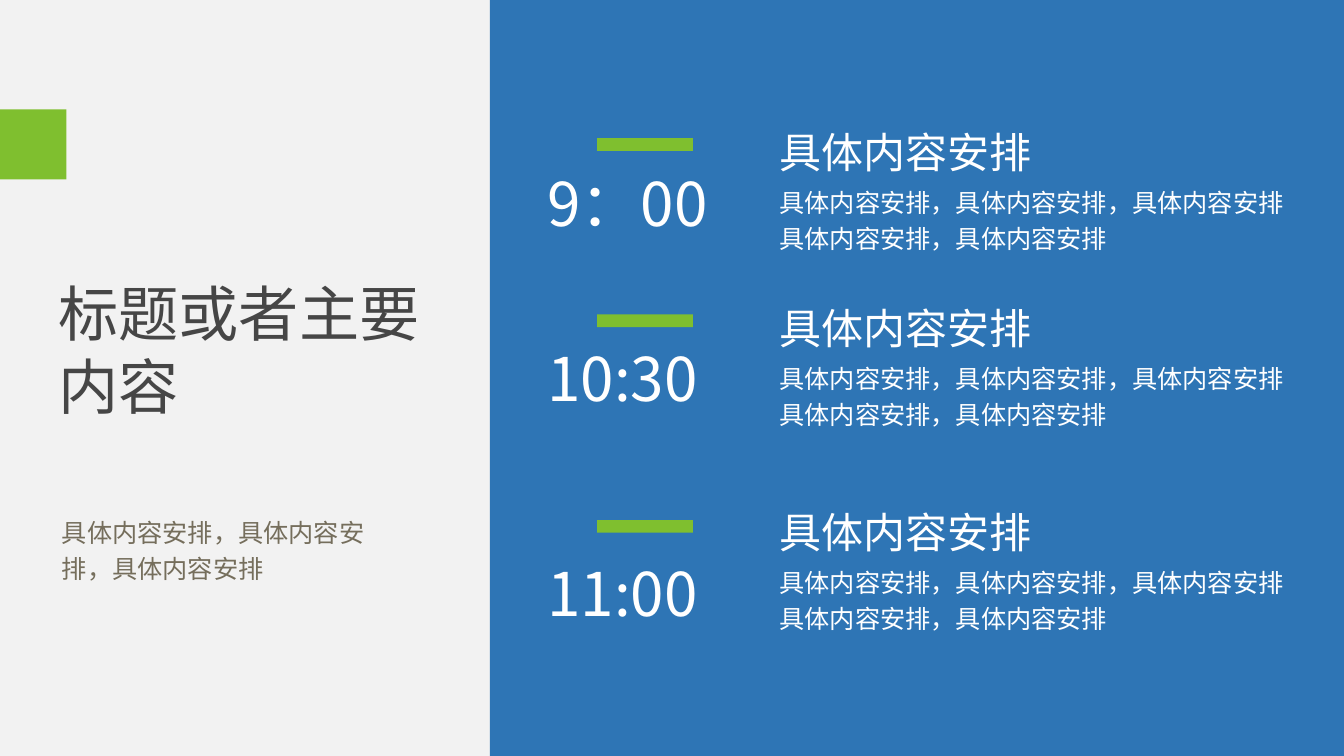
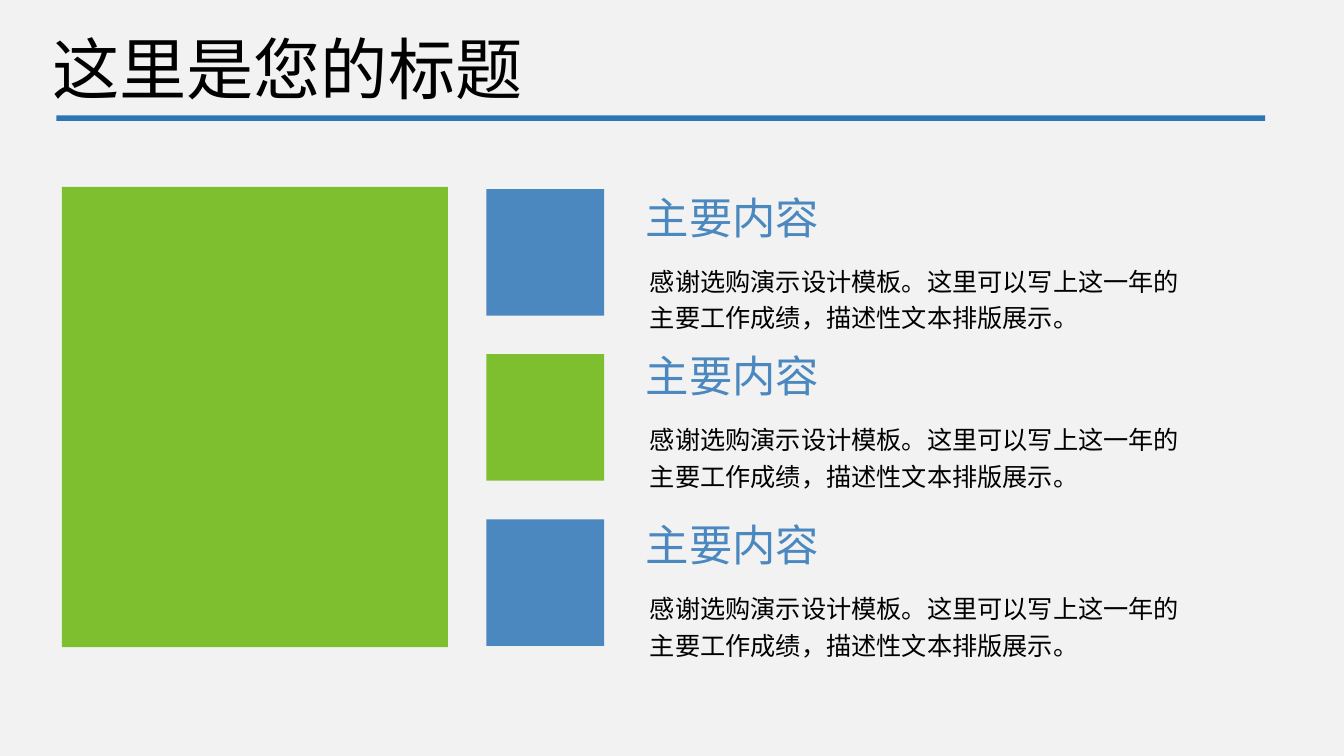
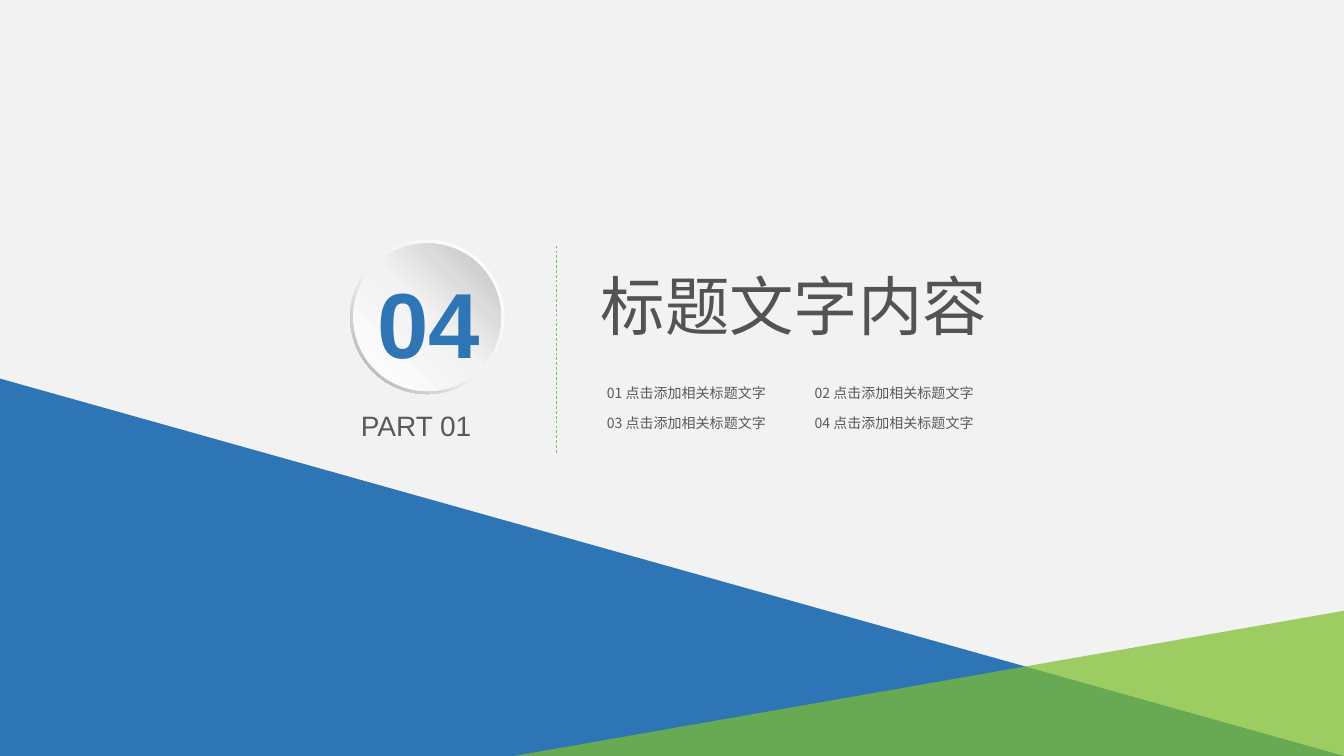
from dataclasses import dataclass
from typing import Optional

from lxml import etree
from pptx import Presentation
from pptx.dml.color import RGBColor
from pptx.enum.dml import MSO_LINE_DASH_STYLE as Dash
from pptx.enum.shapes import MSO_CONNECTOR as Connector, MSO_SHAPE as Preset
from pptx.enum.text import MSO_ANCHOR as Anchor, MSO_AUTO_SIZE as AutoSize, PP_ALIGN as Align
from pptx.oxml import parse_xml
from pptx.oxml.ns import nsdecls, qn
from pptx.util import Cm, Pt

# Shared look
WIDTH, HEIGHT = 67.74, 38.1
PAPER, WHITE, BLACK = "F2F2F2", "FFFFFF", "000000"
BLUE, SOFT_BLUE = "2E75B5", "4B88BF"
GREEN, LEAF_GREEN = "7FBF2F", "7EBF2F"
GREY = "595959"
CHINESE, LATIN = "Noto Sans CJK SC", "Arial"


@dataclass(frozen=True)
class Box:
    left: float
    top: float
    width: float
    height: float

    def lengths(self) -> tuple:
        return Cm(self.left), Cm(self.top), Cm(self.width), Cm(self.height)


@dataclass(frozen=True)
class TextStyle:
    size: float
    color: str
    font: str = CHINESE
    bold: bool = False
    align: Align = Align.LEFT
    anchor: Anchor = Anchor.MIDDLE
    inset: float = 0.15
    wrap: bool = True
    line_height: Optional[float] = None


@dataclass(frozen=True)
class Session:
    time: str
    bar_top: float
    time_top: float
    heading_top: float


@dataclass(frozen=True)
class Topic:
    color: str
    heading_top: float


def rgb(color: str) -> RGBColor:
    return RGBColor.from_string(color)


# Drawing functions
def new_slide(presentation):
    slide = presentation.slides.add_slide(presentation.slide_layouts[6])
    slide.background.fill.solid()
    slide.background.fill.fore_color.rgb = rgb(PAPER)
    return slide


def paint(shape, color: str, opacity: Optional[int] = None) -> None:
    shape.shadow.inherit = False
    shape.line.fill.background()
    shape.fill.solid()
    shape.fill.fore_color.rgb = rgb(color)
    if opacity is not None:
        swatch = shape.fill._xPr.find(qn("a:solidFill"))[0]
        etree.SubElement(swatch, qn("a:alpha"), val=str(opacity * 1000))


def paint_gradient(shape, stops: list[tuple[int, str]], angle: int) -> None:
    paint(shape, WHITE)
    marks = "".join(
        f'<a:gs pos="{position * 1000}"><a:srgbClr val="{color}"/></a:gs>'
        for position, color in stops
    )
    gradient = parse_xml(
        f'<a:gradFill {nsdecls("a")} rotWithShape="1"><a:gsLst>{marks}</a:gsLst>'
        f'<a:lin ang="{angle * 60000}" scaled="0"/></a:gradFill>'
    )
    properties = shape.fill._xPr
    properties.replace(properties.find(qn("a:solidFill")), gradient)


def add_block(slide, box: Box, color: str) -> None:
    paint(slide.shapes.add_shape(Preset.RECTANGLE, *box.lengths()), color)


def add_triangle(slide, corners: list[tuple[float, float]], color: str,
                 opacity: Optional[int] = None) -> None:
    points = [(Cm(x), Cm(y)) for x, y in corners]
    builder = slide.shapes.build_freeform(*points[0], scale=1.0)
    builder.add_line_segments(points[1:], close=True)
    paint(builder.convert_to_shape(), color, opacity)


def add_text(slide, box: Box, style: TextStyle, *lines: str) -> None:
    frame = slide.shapes.add_textbox(*box.lengths()).text_frame
    frame.word_wrap = style.wrap
    frame.auto_size = AutoSize.SHAPE_TO_FIT_TEXT
    frame.vertical_anchor = style.anchor
    frame.margin_left = frame.margin_right = Cm(style.inset)
    frame.margin_top = frame.margin_bottom = Cm(style.inset)
    for index, line in enumerate(lines):
        paragraph = frame.add_paragraph() if index else frame.paragraphs[0]
        paragraph.alignment = style.align
        if style.line_height:
            paragraph.line_spacing = Pt(style.line_height)
        run = paragraph.add_run()
        run.text = line
        run.font.size = Pt(style.size)
        run.font.bold = style.bold
        run.font.color.rgb = rgb(style.color)
        run.font.name = style.font
        etree.SubElement(run.font._element, qn("a:ea"), typeface=style.font)


# Slide 1: schedule
def build_schedule(presentation) -> None:
    slide = new_slide(presentation)
    add_block(slide, Box(-0.18, 5.51, 3.53, 3.53), GREEN)
    add_text(slide, Box(2.79, 14.35, 25.81, 6.48),
             TextStyle(86, "464646", line_height=104), "标题或者主要", "内容")
    add_block(slide, Box(24.69, -0.76, 51.92, 39.62), BLUE)

    time_style = TextStyle(86, WHITE)
    heading_style = TextStyle(60, WHITE, wrap=False)
    detail_style = TextStyle(36, WHITE, wrap=False, line_height=52)
    sessions = [
        Session("9：00", 6.96, 8.53, 6.43),
        Session("10:30", 15.85, 17.37, 15.29),
        Session("11:00", 26.21, 28.19, 25.58),
    ]
    for session in sessions:
        add_block(slide, Box(30.1, session.bar_top, 4.83, 0.64), GREEN)
        add_text(slide, Box(27.43, session.time_top, 25.81, 3.33), time_style, session.time)
        add_text(slide, Box(39.14, session.heading_top, 13.03, 2.41),
                 heading_style, "具体内容安排")
        add_text(slide, Box(39.14, session.heading_top + 2.97, 26.04, 3.1), detail_style,
                 "具体内容安排，具体内容安排，具体内容安排", "具体内容安排，具体内容安排")

    add_text(slide, Box(2.97, 25.58, 15.88, 3.99),
             TextStyle(36, "756E5C", line_height=52),
             "具体内容安排，具体内容安排，具体内容安排")


# Slide 2: three topics
def build_topics(presentation) -> None:
    slide = new_slide(presentation)
    add_block(slide, Box(3.12, 9.42, 19.46, 23.19), LEAF_GREEN)

    heading_style = TextStyle(62, SOFT_BLUE, align=Align.CENTER, wrap=False)
    detail_style = TextStyle(36, BLACK, line_height=52)
    topics = [Topic(SOFT_BLUE, 9.7), Topic(LEAF_GREEN, 17.68), Topic(SOFT_BLUE, 26.21)]
    for row, topic in enumerate(topics):
        add_block(slide, Box(24.51, 9.53 + row * 8.32, 5.94, 6.38), topic.color)
        add_text(slide, Box(32.39, topic.heading_top, 9.07, 2.46), heading_style, "主要内容")
        add_text(slide, Box(32.61, topic.heading_top + 2.9, 27.41, 4.67), detail_style,
                 "感谢选购演示设计模板。这里可以写上这一年的主要工作成绩，描述性文本排版展示。")

    # Title and rule
    add_text(slide, Box(2.46, 1.57, 24.03, 3.68),
             TextStyle(96, BLACK, align=Align.CENTER, wrap=False), "这里是您的标题")
    add_block(slide, Box(2.84, 5.82, 60.93, 0.28), BLUE)


# Slide 3: section opening
def build_section(presentation) -> None:
    slide = new_slide(presentation)
    add_triangle(slide, [(0, 19.08), (WIDTH, HEIGHT), (0, HEIGHT)], BLUE)
    add_triangle(slide, [(WIDTH, 30.78), (25.91, HEIGHT), (WIDTH, HEIGHT)], LEAF_GREEN, 73)

    # Dashed divider
    divider = slide.shapes.add_connector(
        Connector.STRAIGHT, Cm(28.04), Cm(22.81), Cm(28.04), Cm(12.29))
    divider.line.color.rgb = rgb("78C16A")
    divider.line.width = Pt(1)
    divider.line.dash_style = Dash.DASH
    etree.SubElement(divider._element.spPr, qn("a:effectLst"))

    # Numbered badge
    ring = slide.shapes.add_shape(Preset.DONUT, *Box(17.65, 12.09, 7.77, 7.77).lengths())
    ring.adjustments[0] = 0.05
    paint_gradient(ring, [(0, WHITE), (55, PAPER), (100, "A6A6A6")], 135)
    disc = slide.shapes.add_shape(Preset.OVAL, *Box(17.81, 12.27, 7.44, 7.44).lengths())
    paint_gradient(disc, [(0, WHITE), (51, PAPER), (100, "BFBFBF")], 315)
    add_text(slide, Box(19.02, 13.41, 6.68, 5.64),
             TextStyle(132, BLUE, LATIN, bold=True, anchor=Anchor.TOP, inset=0), "04")
    add_text(slide, Box(18.19, 20.6, 6.68, 1.55),
             TextStyle(40, GREY, LATIN, anchor=Anchor.TOP, inset=0), "PART 01")

    # Title and two-column list
    add_text(slide, Box(29.64, 13.06, 20.75, 4.55),
             TextStyle(92, "535353", align=Align.CENTER, wrap=False), "标题文字内容")
    item_style = TextStyle(20, GREY, anchor=Anchor.TOP, inset=0.24)
    for index in range(4):
        row, column = divmod(index, 2)
        add_text(slide, Box(30.35 + column * 10.47, 19.15 + row * 1.52, 8.69, 1.37),
                 item_style, f"0{index + 1} 点击添加相关标题文字")


def main() -> None:
    presentation = Presentation()
    presentation.slide_width, presentation.slide_height = Cm(WIDTH), Cm(HEIGHT)
    build_schedule(presentation)
    build_topics(presentation)
    build_section(presentation)
    presentation.save("out.pptx")


if __name__ == "__main__":
    main()
